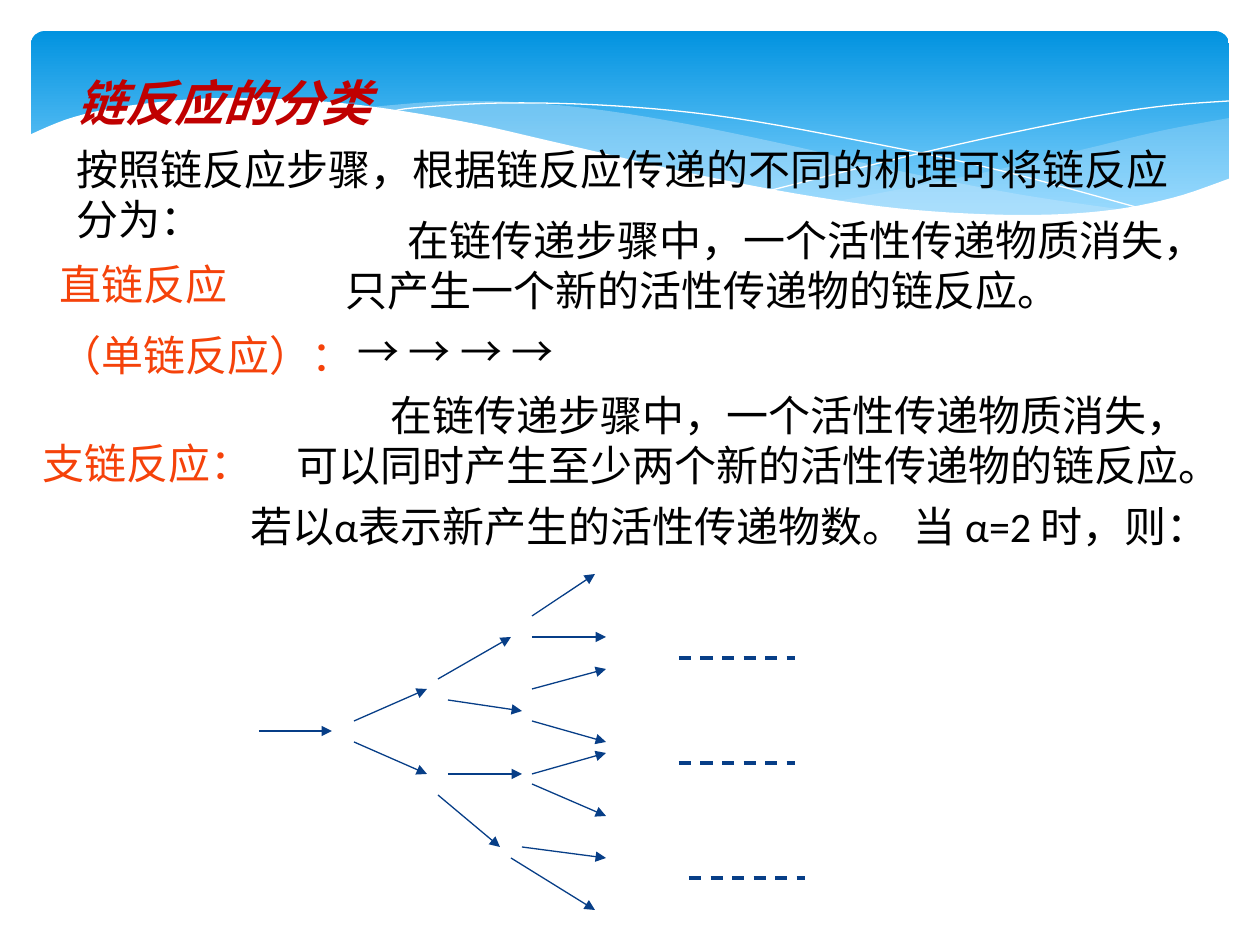
from lxml.etree import SubElement
from pptx import Presentation
from pptx.dml.color import RGBColor
from pptx.enum.dml import MSO_LINE
from pptx.enum.shapes import MSO_CONNECTOR, MSO_SHAPE
from pptx.enum.text import MSO_ANCHOR, MSO_AUTO_SIZE, PP_ALIGN
from pptx.oxml.ns import qn
from pptx.util import Emu, Inches, Pt

PX = Inches(1) / 126

THEME = {
    "sky": "0293E0", "sky_light": "83D3FE", "wave": "C6E7FC", "white": "FFFFFF",
    "title": "C00000", "term": "F5420A", "ink": "000000", "arrow": "073E87",
    "font": "Calibri", "symbol_font": "Noto Sans CJK SC",
    "title_size": 28, "body_size": 24, "para_gap": 12,
    "arrow_width": 0.75, "dash_width": 1.75,
}

TITLE = ("链反应的分类", (64, 66, 323, 72))

# paragraphs, box, first-line indent, format
TEXTS = [
    (["按照链反应步骤，根据链反应传递的不同的机理可将链反应分为："],
     (64, 137, 1142, 115), 0, {}),
    (["直链反应", "（单链反应）："], (47, 252, 357, 140), 0, {"color": "term"}),
    (["在链传递步骤中，一个活性传递物质消失，只产生一个新的活性传递物的链反应。"],
     (333, 208, 873, 115), 62, {}),
    (["支链反应："], (30, 431, 357, 63), 0, {"color": "term"}),
    (["在链传递步骤中，一个活性传递物质消失，可以同时产生至少两个新的活性传递物的链反应。"],
     (284, 383, 922, 115), 94, {}),
    (["若以α表示新产生的活性传递物数。 当 α=2 时，则："],
     (238, 494, 951, 115), 0, {}),
    (["→ → → →"], (345, 319, 280, 63), 0, {"font": "symbol_font", "wrap": False}),
]

BANNER = (31, 31, 1198, 197)

# Each wave is a chain of smooth curves given by the points they pass through
WAVES = [
    {"fill": "wave", "opacity": 29, "curves": [
        [(1229, 118), (1160, 131), (1085, 149), (982, 173), (833, 202)],
        [(833, 202), (922, 212), (1012, 217), (1087, 214), (1160, 202), (1229, 179)]]},
    {"fill": "wave", "opacity": 40, "curves": [
        [(1125, 210), (1017, 194), (890, 169), (793, 146), (665, 120), (557, 105),
         (455, 101), (360, 108)],
        [(360, 108), (456, 122), (566, 146), (713, 180), (838, 203), (942, 214),
         (1043, 218), (1125, 210)]]},
    {"line": "white", "curves": [
        [(389, 113), (413, 108), (505, 103), (616, 106), (733, 118), (876, 144),
         (1002, 171), (1143, 209)]]},
    {"line": "white", "curves": [
        [(772, 190), (876, 164), (978, 140), (1091, 117), (1164, 106), (1229, 101)]]},
    {"fill": "white", "opacity": 100, "curves": [
        [(1231, 178), (1172, 198), (1103, 211), (1019, 215), (915, 210), (816, 197),
         (699, 175), (563, 144), (460, 121), (341, 103), (223, 98), (134, 105),
         (74, 117), (29, 135)],
        [(29, 282), (1231, 282)]]},
]

# Chain branching, one row per generation: x1, y1, x2, y2
BRANCHES = [
    [(259, 731, 332, 731)],
    [(354, 721, 427, 689), (354, 742, 427, 774)],
    [(438, 679, 511, 637), (448, 700, 522, 711),
     (448, 774, 522, 774), (438, 795, 500, 847)],
    [(532, 616, 595, 574), (532, 637, 606, 637), (532, 689, 606, 669),
     (532, 721, 606, 742), (532, 774, 606, 753), (532, 784, 606, 816),
     (522, 847, 606, 858), (511, 858, 595, 910)],
]
DASHES = [(679, 658), (679, 763), (689, 878)]
DASH_LENGTH = 116


def emu(*values):
    return [Emu(round(v * PX)) for v in values]


def rgb(name):
    return RGBColor.from_string(THEME[name])


def smooth(points, steps=6):
    """Sample a Catmull-Rom curve through the points."""
    ends = [points[0], *points, points[-1]]
    curve = [points[0]]
    for a, b, c, d in zip(ends, ends[1:], ends[2:], ends[3:]):
        for i in range(1, steps + 1):
            t = i / steps
            curve.append(tuple(
                (2 * q + (r - p) * t + (2 * p - 5 * q + 4 * r - s) * t ** 2
                 + (3 * q - p - 3 * r + s) * t ** 3) / 2
                for p, q, r, s in zip(a, b, c, d)))
    return curve


def add_banner(shapes):
    s = shapes.add_shape(MSO_SHAPE.ROUNDED_RECTANGLE, *emu(*BANNER))
    s.adjustments[0] = 0.07
    s.shadow.inherit = False
    s.line.fill.background()
    s.fill.gradient()
    s.fill.gradient_angle = 270
    for stop, name, position in zip(s.fill.gradient_stops, ("sky", "sky_light"), (0, 0.9)):
        stop.color.rgb = rgb(name)
        stop.position = position


def add_wave(shapes, wave):
    points = [emu(*pt) for curve in wave["curves"] for pt in smooth(curve)]
    builder = shapes.build_freeform(*points[0], scale=1.0)
    builder.add_line_segments(points[1:], close="fill" in wave)
    s = builder.convert_to_shape()
    s.shadow.inherit = False
    if "fill" in wave:
        s.line.fill.background()
        s.fill.solid()
        s.fill.fore_color.rgb = rgb(wave["fill"])
        color = s.fill._xPr.find(qn("a:solidFill"))[0]
        SubElement(color, qn("a:alpha"), val=str(wave["opacity"] * 1000))
    else:
        s.fill.background()
        s.line.color.rgb = rgb(wave["line"])
        s.line.width = Pt(0)


def write(s, paragraphs, indent=0, color="ink", font="font", wrap=True,
          size="body_size", **style):
    tf = s.text_frame
    tf.word_wrap = wrap
    tf.auto_size = MSO_AUTO_SIZE.NONE
    tf.vertical_anchor = MSO_ANCHOR.TOP
    for i, text in enumerate(paragraphs):
        p = tf.add_paragraph() if i else tf.paragraphs[0]
        p.alignment = PP_ALIGN.LEFT
        p.space_before = Pt(THEME["para_gap"] if i else 0)
        if indent:
            p._p.get_or_add_pPr().set("indent", str(emu(indent)[0]))
        r = p.add_run()
        r.text = text
        values = {"name": THEME[font], "size": Pt(THEME[size]), **style}
        for key, value in values.items():
            setattr(r.font, key, value)
        r.font.color.rgb = rgb(color)
        SubElement(r._r.get_or_add_rPr(), qn("a:ea"), typeface=THEME[font])


def add_line(shapes, x1, y1, x2, y2, width):
    s = shapes.add_connector(MSO_CONNECTOR.STRAIGHT, *emu(x1, y1, x2, y2))
    s.line.color.rgb = rgb("arrow")
    s.line.width = Pt(THEME[width])
    SubElement(s._element.spPr, qn("a:effectLst"))
    return s


def main():
    prs = Presentation()
    prs.slide_width, prs.slide_height = Inches(10), Inches(7.5)
    slide = prs.slides.add_slide(prs.slide_layouts[5])
    shapes = slide.shapes

    add_banner(shapes)
    for wave in WAVES:
        add_wave(shapes, wave)

    text, box = TITLE
    title = shapes.title
    title.left, title.top, title.width, title.height = emu(*box)
    write(title, [text], color="title", size="title_size", wrap=False,
          bold=True, italic=True)
    shapes._spTree.append(title._element)  # bring in front of the waves

    for paragraphs, box, indent, style in TEXTS:
        write(shapes.add_textbox(*emu(*box)), paragraphs, indent, **style)

    for generation in BRANCHES:
        for ends in generation:
            s = add_line(shapes, *ends, "arrow_width")
            SubElement(s.line._get_or_add_ln(), qn("a:tailEnd"), type="triangle")
    for x, y in DASHES:
        s = add_line(shapes, x, y, x + DASH_LENGTH, y, "dash_width")
        s.line.dash_style = MSO_LINE.DASH

    prs.save("out.pptx")


if __name__ == "__main__":
    main()
